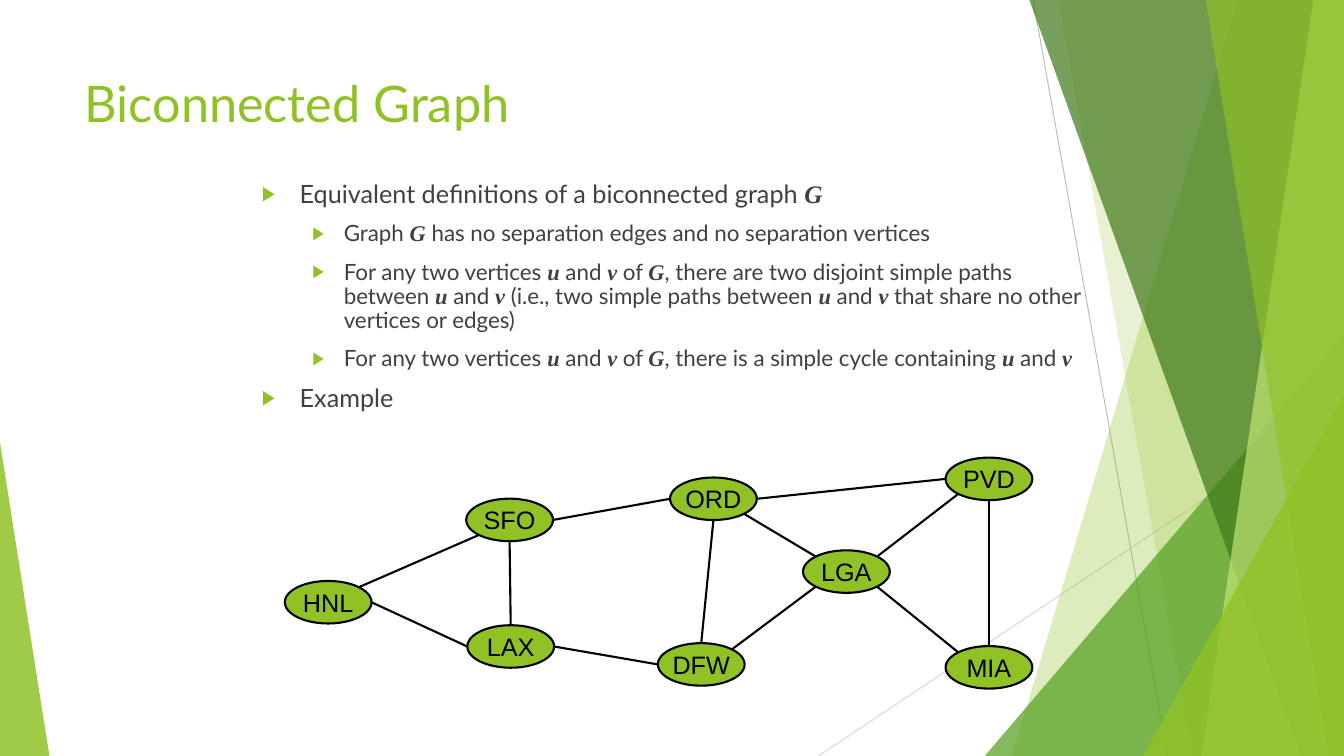
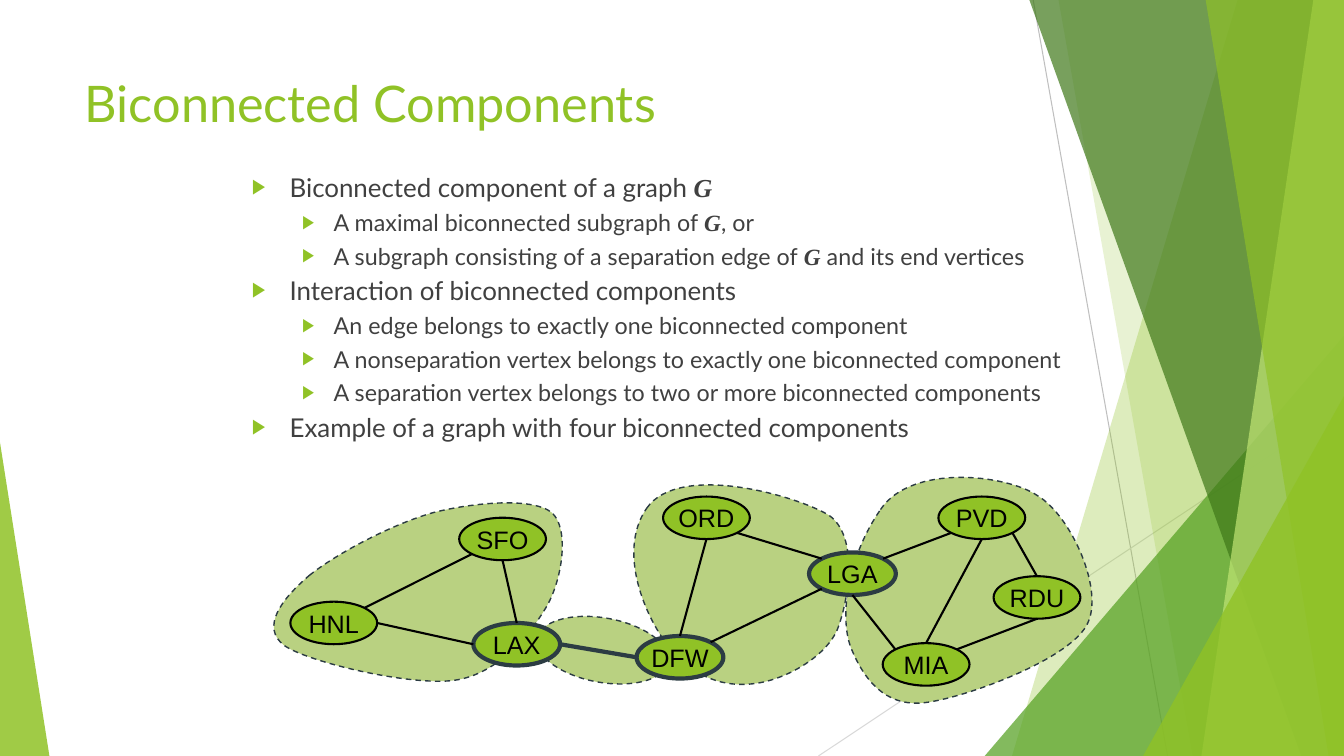
from math import sqrt
from pptx import Presentation
from pptx.dml.color import RGBColor as RGB
from pptx.enum.dml import MSO_LINE as Dash
from pptx.enum.shapes import MSO_CONNECTOR as Conn, MSO_SHAPE as Kind
from pptx.enum.text import MSO_ANCHOR as Anchor, PP_ALIGN as Align
from pptx.oxml.ns import qn
from pptx.util import Pt
from lxml.etree import SubElement as Sub

WIDE, HIGH = 960, 540
LIME = RGB(0x90, 0xC2, 0x26)
GREEN = RGB(0x54, 0xA0, 0x21)
MOSS = RGB(0x3F, 0x78, 0x19)
PALE = RGB(0xC0, 0xE4, 0x74)
SAGE = RGB(0xB9, 0xD1, 0x81)
SLATE = RGB(0x2C, 0x3C, 0x43)
BLACK = RGB(0, 0, 0)
INK = RGB(0x40, 0x40, 0x40)
GREY = RGB(0xBF, 0xBF, 0xBF)
LIGHT = RGB(0xD9, 0xD9, 0xD9)

RAYS = [((738, 0), (834, HIGH), GREY), ((WIDE, 290.2), (584.6, HIGH), LIGHT)]
FACETS = [
    ("band", 884.2, 722.9, LIME, 30),
    ("band", 756, 851.8, LIME, 20),
    ("peak", 703.4, 239.8, GREEN, 72),
    ("band", 735.1, 929.5, MOSS, 70),
    ("band", 938.2, 858.2, PALE, 70),
    ("band", 861.1, 949, LIME, 65),
    ("peak", 816.5, 283, LIME, 80),
    ("foot", 35.3, 316.1, LIME, 85),
]

NODE_W, NODE_H = 62, 30.4
DIAG = sqrt(0.5)
SIDES = {
    "N": (0, -1), "NE": (DIAG, -DIAG), "E": (1, 0), "SE": (DIAG, DIAG),
    "S": (0, 1), "SW": (-DIAG, DIAG), "W": (-1, 0), "NW": (-DIAG, -DIAG),
}
LINKS = [
    "DFW N ORD S", "DFW NE LGA SW", "LGA NE PVD SW", "HNL E LAX W",
    "SFO S LAX N", "LGA NW ORD SE", "LAX E DFW W", "HNL NE SFO SW",
    "MIA N PVD S",
]

SLIDES = [
    {
        "title": "Biconnected Graph",
        "box": (180, 126, 612, 216), "sizes": (18, 16), "pitch": 0.9,
        "body": [
            (0, "Equivalent definitions of a biconnected graph *G*"),
            (1, "Graph *G* has no separation edges and no separation vertices"),
            (1, "For any two vertices *u* and *v* of *G*, there are two disjoint "
                "simple paths between *u* and *v* (i.e., two simple paths between "
                "*u* and *v* that share no other vertices or edges)"),
            (1, "For any two vertices *u* and *v* of *G*, there is a simple cycle "
                "containing *u* and *v*"),
            (0, "Example"),
        ],
        "nodes": {
            "ORD": (478.6, 341.1), "PVD": (675.4, 326.9), "MIA": (675.4, 461.5),
            "DFW": (469.9, 459.4), "SFO": (333, 356.2), "LAX": (333.8, 446.6),
            "LGA": (573.6, 393.1), "HNL": (203.4, 415),
        },
        "links": LINKS + ["LGA SE MIA NW", "SFO E ORD W", "ORD E PVD W"],
        "cuts": [], "bridge": None, "blobs": [], "oval": None,
    },
    {
        "title": "Biconnected Components",
        "box": (172.8, 125.3, 643.7, 204.5), "sizes": (18.5, 16.65), "pitch": 0.7,
        "body": [
            (0, "Biconnected component of a graph *G*"),
            (1, "A maximal biconnected subgraph of *G*, or"),
            (1, "A subgraph consisting of a separation edge of *G* and its end vertices"),
            (0, "Interaction of biconnected components"),
            (1, "An edge belongs to exactly one biconnected component"),
            (1, "A nonseparation vertex belongs to exactly one biconnected component"),
            (1, "A separation vertex belongs to two or more biconnected components"),
            (0, "Example of a graph with four biconnected components"),
        ],
        "nodes": {
            "ORD": (473.6, 354.7), "PVD": (670.3, 354.7), "MIA": (630.5, 459.4),
            "DFW": (454.7, 454.3), "SFO": (328, 369.8), "LAX": (338.1, 445),
            "LGA": (577.9, 394.6), "HNL": (207.4, 429.8), "RDU": (709.7, 411.6),
        },
        "links": LINKS + ["LGA S MIA NW", "MIA NE RDU S", "RDU N PVD SE"],
        "cuts": ["DFW", "LAX", "LGA"], "bridge": "LAX E DFW W",
        "oval": (383, 441.4, 95, 46, 10.2),
        "blobs": [
            [(629, 364), (651, 331), (719, 339), (741, 354), (765, 368),
             (790, 423), (776, 447), (762, 472), (688, 499), (660, 502),
             (632, 505), (617, 485), (608, 463), (599, 440), (606, 397)],
            [(462, 363), (485, 330), (569, 354), (592, 368), (614, 383),
             (606, 430), (598, 450), (589, 470), (561, 485), (541, 488),
             (522, 491), (501, 487), (482, 467), (464, 448), (439, 396)],
            [(221, 411), (241, 395), (281, 374), (310, 366), (338, 359),
             (380, 355), (394, 366), (407, 377), (402, 414), (390, 434),
             (378, 454), (355, 482), (324, 486), (293, 490), (220, 473),
             (203, 461), (186, 448), (201, 428)],
        ],
    },
]


def pts(*nums):
    return [Pt(n) for n in nums]


def paint(shape, fill, line=None, width=1.5):
    shape.shadow.inherit = False
    shape.fill.solid()
    shape.fill.fore_color.rgb = fill
    if line is None:
        shape.line.fill.background()
    else:
        shape.line.color.rgb = line
        shape.line.width = Pt(width)
    return shape


def outline(shapes, dots):
    first, *rest = [tuple(pts(*dot)) for dot in dots]
    form = shapes.build_freeform(*first)
    form.add_line_segments(rest + [first], close=True)
    return form.convert_to_shape()


def blob(shapes, knots):
    shape = outline(shapes, knots)
    legs = list(shape.element.iter(qn("a:lnTo")))
    for i in range(0, len(legs), 3):
        trio = legs[i:i + 3]
        bend = trio[0].makeelement(qn("a:cubicBezTo"))
        trio[0].addprevious(bend)
        for leg in trio:
            bend.append(leg[0])
            leg.getparent().remove(leg)
    return shape


def join(shapes, start, end, color, width):
    line = shapes.add_connector(Conn.STRAIGHT, *pts(*start, *end))
    line.line.color.rgb = color
    line.line.width = Pt(width)
    Sub(line.element.spPr, qn("a:effectLst"))
    return line


def facet(shapes, kind, a, b, color, alpha):
    if kind == "band":
        shape = outline(shapes, [(a, -0.6), (WIDE, -0.6), (WIDE, HIGH), (b, HIGH)])
    else:
        left, width = (a, WIDE - a) if kind == "peak" else (0, a)
        shape = shapes.add_shape(Kind.ISOSCELES_TRIANGLE, *pts(left, b, width, HIGH - b))
        shape.adjustments[0] = 1 if kind == "peak" else 0
    paint(shape, color)
    tint = shape.element.spPr.find(qn("a:solidFill"))[0]
    Sub(tint, qn("a:alpha"), val=str(alpha * 1000))
    return shape


def backdrop(layout, slide):
    for holder in list(layout.placeholders)[1:]:
        holder.element.getparent().remove(holder.element)
    parts = [join(slide.shapes, *ray, 0.75) for ray in RAYS]
    parts += [facet(slide.shapes, *row) for row in FACETS]
    for part in parts:
        layout.shapes.element.append(part.element)


def head(slide, text):
    title = slide.shapes.title
    title.left, title.top, title.width, title.height = pts(53.3, 48.2, 676.8, 103.7)
    frame = title.text_frame
    frame.text = text
    frame.vertical_anchor = Anchor.TOP
    para = frame.paragraphs[0]
    para.alignment = Align.LEFT
    para.font.name, para.font.size = "Lato", Pt(36)
    para.font.color.rgb = LIME


def bullet(para, level):
    props = para._p.get_or_add_pPr()
    left, hang = [(27, 27), (58.5, 22.5)][level]
    props.set("marL", str(Pt(left)))
    props.set("indent", str(-Pt(hang)))
    Sub(Sub(props, qn("a:buClr")), qn("a:srgbClr"), val=str(LIME))
    Sub(props, qn("a:buSzPct"), val="80000")
    Sub(props, qn("a:buFont"), typeface="Arial")
    Sub(props, qn("a:buChar"), char="▶")


def body(slide, data):
    frame = slide.shapes.add_textbox(*pts(*data["box"])).text_frame
    frame.word_wrap = True
    for i, (level, text) in enumerate(data["body"]):
        para = frame.add_paragraph() if i else frame.paragraphs[0]
        para.level = level
        para.line_spacing = data["pitch"]
        para.space_before = Pt(10 if i else 0)
        bullet(para, level)
        para.font.name, para.font.size = "Lato", Pt(data["sizes"][level])
        para.font.color.rgb = INK
        for j, part in enumerate(text.split("*")):
            if part:
                run = para.add_run()
                run.text = part
                if j % 2:
                    run.font.name = "Times New Roman"
                    run.font.bold = run.font.italic = True


def zones(slide, data):
    areas = []
    if data["oval"]:
        *box, turn = data["oval"]
        oval = slide.shapes.add_shape(Kind.OVAL, *pts(*box))
        oval.rotation = turn
        areas.append(oval)
    areas += [blob(slide.shapes, knots) for knots in data["blobs"]]
    for area in areas:
        paint(area, SAGE, SLATE, 1).line.dash_style = Dash.DASH


def site(spot, side):
    return [at + size / 2 * (1 + way)
            for at, size, way in zip(spot, (NODE_W, NODE_H), SIDES[side])]


def graph(slide, data):
    nodes = data["nodes"]
    thin, thick = (BLACK, 1.5), (SLATE, 3)
    for name, spot in nodes.items():
        node = slide.shapes.add_shape(Kind.OVAL, *pts(*spot, NODE_W, NODE_H))
        paint(node, LIME, *(thick if name in data["cuts"] else thin))
        frame = node.text_frame
        frame.text = name
        frame.word_wrap = False
        frame.vertical_anchor = Anchor.MIDDLE
        para = frame.paragraphs[0]
        para.alignment = Align.CENTER
        para.font.name, para.font.size = "Arial", Pt(18)
        para.font.color.rgb = BLACK
    for link in data["links"]:
        one, out, two, into = link.split()
        style = thick if link == data["bridge"] else thin
        join(slide.shapes, site(nodes[one], out), site(nodes[two], into), *style)


def main():
    deck = Presentation()
    deck.slide_width, deck.slide_height = pts(WIDE, HIGH)
    layout = deck.slide_layouts[5]
    for i, data in enumerate(SLIDES):
        slide = deck.slides.add_slide(layout)
        if i == 0:
            backdrop(layout, slide)
        head(slide, data["title"])
        zones(slide, data)
        body(slide, data)
        graph(slide, data)
    deck.save("out.pptx")


if __name__ == "__main__":
    main()
